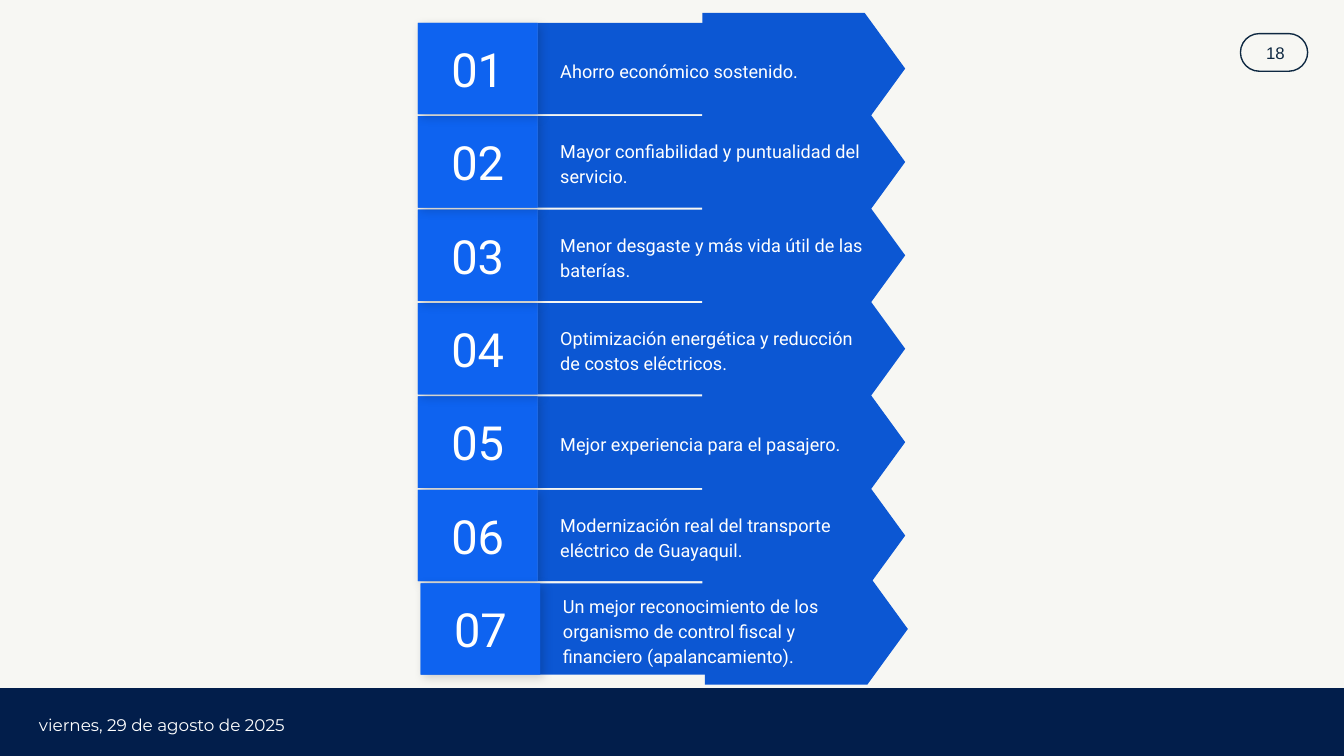
from dataclasses import dataclass

import pptx
import pptx.dml.color
import pptx.enum.shapes
import pptx.enum.text
import pptx.oxml
import pptx.oxml.ns
import pptx.util
from pptx.dml.color import RGBColor
from pptx.util import Inches

PAPER = RGBColor(0xF7, 0xF7, 0xF3)
NAVY = RGBColor(0x02, 0x1E, 0x4B)
INK = RGBColor(0x0E, 0x28, 0x41)
ARROW_BLUE = RGBColor(0x0C, 0x57, 0xD3)
SHADE_BLUE = RGBColor(0x0D, 0x5C, 0xDF)
TILE_BLUE = RGBColor(0x0E, 0x63, 0xF0)
WHITE = RGBColor(0xFF, 0xFF, 0xFF)

SHAPES = pptx.enum.shapes.MSO_SHAPE
LEFT = pptx.enum.text.PP_ALIGN.LEFT
CENTER = pptx.enum.text.PP_ALIGN.CENTER

SLIDE_WIDTH = 10
SLIDE_HEIGHT = SLIDE_WIDTH * 9 / 16
FIRST_TOP = 0.17
LAST_TOP = 4.34
ROW_HEIGHT = 0.68
TILE_WIDTH = 0.89
BAR_WIDTH = 2.37
POINTER_LENGTH = 1.51
POINTER_HEIGHT = 0.83


@dataclass
class Benefit:
    number: int
    text: str
    left: float = 3.11


# Listed from back to front, so that each tile shadow falls on the right neighbour
BENEFITS = [
    Benefit(5, "Mejor experiencia para el pasajero."),
    Benefit(4, "Optimización energética y reducción de costos eléctricos."),
    Benefit(3, "Menor desgaste y más vida útil de las baterías."),
    Benefit(2, "Mayor confiabilidad y puntualidad del servicio."),
    Benefit(1, "Ahorro económico sostenido."),
    Benefit(6, "Modernización real del transporte eléctrico de Guayaquil."),
    Benefit(7, "Un mejor reconocimiento de los organismo de control fiscal y "
               "financiero (apalancamiento).", left=3.13),
]
ROW_PITCH = (LAST_TOP - FIRST_TOP) / (len(BENEFITS) - 1)


def add_block(slide, kind, left: float, top: float, width: float, height: float,
              fill: RGBColor | None = None, line: RGBColor | None = None):
    shape = slide.shapes.add_shape(
        kind, Inches(left), Inches(top), Inches(width), Inches(height))
    shape.shadow.inherit = False
    if fill is None:
        shape.fill.background()
    else:
        shape.fill.solid()
        shape.fill.fore_color.rgb = fill
    if line is None:
        shape.line.fill.background()
    else:
        shape.line.color.rgb = line
        shape.line.width = pptx.util.Pt(0.75)
    return shape


def add_text_box(slide, left: float, top: float, width: float, height: float):
    return slide.shapes.add_textbox(
        Inches(left), Inches(top), Inches(width), Inches(height))


def write_text(shape, text: str, *, size: float, font: str, color: RGBColor = WHITE,
               align=LEFT, inset: tuple[float, float] = (0.1, 0.1),
               spacing: float = 1.0) -> None:
    frame = shape.text_frame
    frame.word_wrap = True
    frame.vertical_anchor = pptx.enum.text.MSO_ANCHOR.MIDDLE
    frame.margin_left = frame.margin_right = Inches(inset[0])
    frame.margin_top = frame.margin_bottom = Inches(inset[1])
    paragraph = frame.paragraphs[0]
    paragraph.alignment = align
    paragraph.line_spacing = spacing
    run = paragraph.add_run()
    run.text = text
    run.font.size = pptx.util.Pt(size)
    run.font.name = font
    run.font.color.rgb = color


def add_soft_shadow(shape) -> None:
    effects = shape._element.spPr.find(pptx.oxml.ns.qn("a:effectLst"))
    effects.append(pptx.oxml.parse_xml(
        f'<a:outerShdw {pptx.oxml.ns.nsdecls("a")} blurRad="{pptx.util.Pt(5.5)}" '
        f'dist="{pptx.util.Pt(2.2)}" dir="{45 * 60000}" algn="bl" rotWithShape="0">'
        '<a:srgbClr val="000000"><a:alpha val="17000"/></a:srgbClr></a:outerShdw>'))


def add_benefit(slide, benefit: Benefit) -> None:
    left = benefit.left
    top = FIRST_TOP + ROW_PITCH * (benefit.number - 1)
    bar_left = left + TILE_WIDTH

    # Bar and pointer; the pointer is upright until it is turned to the right
    add_block(slide, SHAPES.RECTANGLE, bar_left, top, BAR_WIDTH, ROW_HEIGHT, ARROW_BLUE)
    center_x, center_y = left + 2.87, top + ROW_HEIGHT / 2
    pointer = add_block(
        slide, SHAPES.FLOWCHART_OFFPAGE_CONNECTOR,
        center_x - POINTER_HEIGHT / 2, center_y - POINTER_LENGTH / 2,
        POINTER_HEIGHT, POINTER_LENGTH, ARROW_BLUE)
    pointer.rotation = 270

    description = add_text_box(slide, bar_left + 0.07, top + 0.08, 2.49, 0.53)
    write_text(description, benefit.text, size=9.7, font="Roboto", spacing=1.15)

    # Number tile over its shadow
    tile_box = (left, top, TILE_WIDTH, ROW_HEIGHT)
    add_soft_shadow(add_block(slide, SHAPES.RECTANGLE, *tile_box, SHADE_BLUE))
    tile = add_block(slide, SHAPES.RECTANGLE, *tile_box, TILE_BLUE)
    write_text(tile, f"{benefit.number:02}", size=25.2, font="Roboto", align=CENTER)


def main() -> None:
    presentation = pptx.Presentation()
    presentation.slide_width = Inches(SLIDE_WIDTH)
    presentation.slide_height = Inches(SLIDE_HEIGHT)
    slide = presentation.slides.add_slide(presentation.slide_layouts[6])
    slide.background.fill.solid()
    slide.background.fill.fore_color.rgb = PAPER

    # Footer band with the date, bleeding slightly over the slide edges
    add_block(slide, SHAPES.RECTANGLE, -0.02, 5.12, 10.06, 0.55, NAVY)
    date = add_text_box(slide, 0.22, 5.24, 2.25, 0.3)
    write_text(date, "viernes, 29 de agosto de 2025", size=9, font="Montserrat",
               inset=(0.07, 0.04))

    # Page number in its pill
    pill = add_block(slide, SHAPES.ROUNDED_RECTANGLE, 9.23, 0.25, 0.5, 0.28, line=INK)
    pill.adjustments[0] = 0.5
    page_number = add_text_box(slide, 9.24, 0.24, 0.5, 0.3)
    write_text(page_number, "18", size=9, font="Arial", color=INK, align=CENTER,
               inset=(0.07, 0.04))

    # Numbered benefits
    for benefit in BENEFITS:
        add_benefit(slide, benefit)

    presentation.save("out.pptx")


if __name__ == "__main__":
    main()
